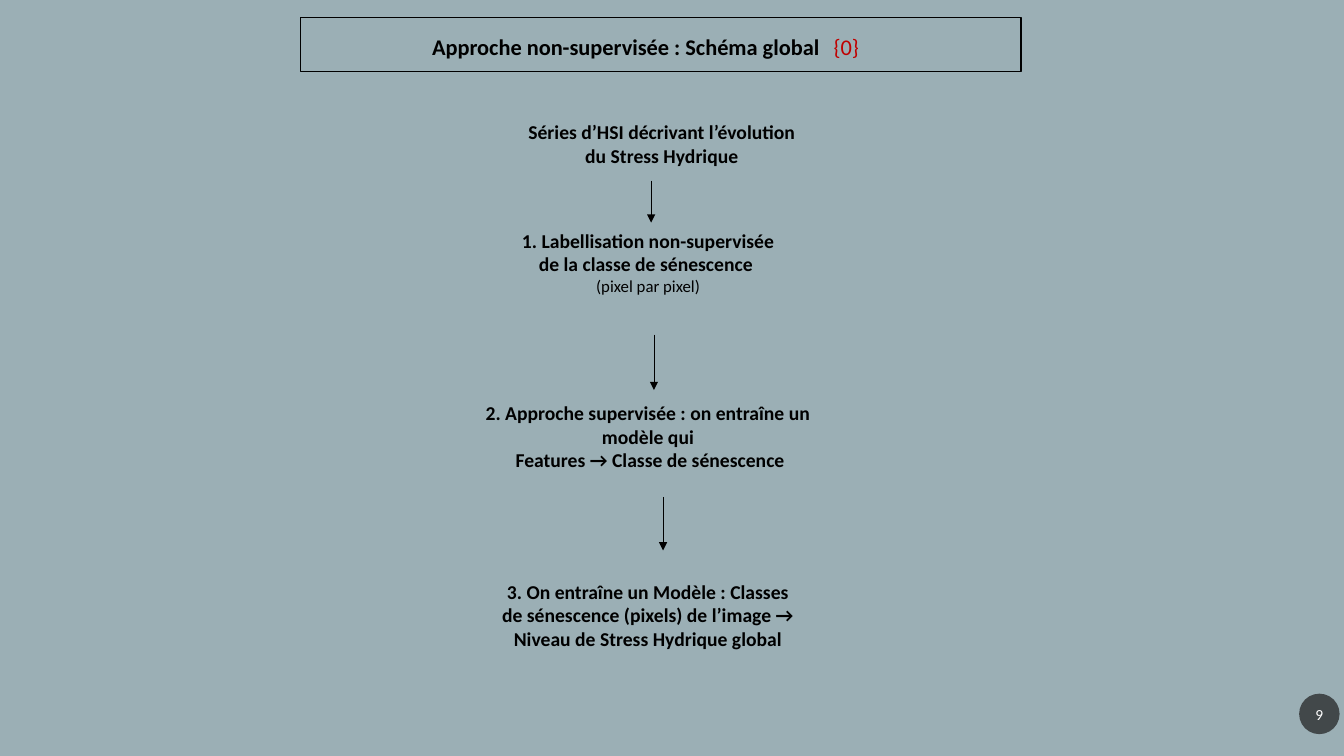
from lxml.etree import SubElement
from pptx import Presentation
from pptx.dml.color import RGBColor
from pptx.enum.shapes import MSO_CONNECTOR, MSO_SHAPE
from pptx.enum.text import MSO_ANCHOR, PP_ALIGN
from pptx.oxml.ns import qn
from pptx.util import Cm, Pt

INKS = {"back": "9BAFB5", "text": "000000", "mark": "C00000",
        "badge": "1D1D1D", "white": "FFFFFF"}


class Page:
    font = "Calibri"

    def __init__(self, slide):
        self.slide = slide
        self.paint(slide.background.fill, "back")

    def paint(self, fill, ink):
        fill.solid()
        fill.fore_color.rgb = RGBColor.from_string(INKS[ink])

    def put(self, frame, paras, align=PP_ALIGN.CENTER):
        """Fill a frame; each paragraph is a list of (text, size, bold, ink)."""
        frame.word_wrap = True
        for i, runs in enumerate(paras):
            para = frame.add_paragraph() if i else frame.paragraphs[0]
            para.alignment = align
            for text, size, bold, ink in runs:
                run = para.add_run()
                run.text = text
                run.font.name = self.font
                run.font.size = Pt(size)
                run.font.bold = bold
                run.font.color.rgb = RGBColor.from_string(INKS[ink])

    def label(self, box, paras, align=PP_ALIGN.CENTER):
        frame = self.slide.shapes.add_textbox(*map(Cm, box)).text_frame
        self.put(frame, paras, align)
        return frame

    def frame(self, box):
        rect = self.slide.shapes.add_shape(MSO_SHAPE.RECTANGLE, *map(Cm, box))
        rect.shadow.inherit = False
        rect.fill.background()
        self.paint(rect.line.fill, "text")
        rect.line.width = Pt(1)

    def badge(self, box, text):
        disc = self.slide.shapes.add_shape(MSO_SHAPE.OVAL, *map(Cm, box))
        disc.shadow.inherit = False
        self.paint(disc.fill, "badge")
        tone = disc.element.spPr.find(qn("a:solidFill"))[0]
        SubElement(tone, qn("a:alpha"), val="70000")
        disc.line.fill.background()
        frame = disc.text_frame
        frame.margin_left = frame.margin_right = Cm(0.05)
        frame.vertical_anchor = MSO_ANCHOR.MIDDLE
        self.put(frame, [[(text, 11, False, "white")]])

    def arrow(self, x, top, end):
        line = self.slide.shapes.add_connector(
            MSO_CONNECTOR.STRAIGHT, Cm(x), Cm(top), Cm(x), Cm(end))
        self.paint(line.line.fill, "text")
        line.line.width = Pt(0.5)
        props = line.element.spPr
        SubElement(props.find(qn("a:ln")), qn("a:tailEnd"), type="triangle")
        SubElement(props, qn("a:effectLst"))


def bold(text, size=14):
    return [(text, size, True, "text")]


STEPS = [
    ((12.83, 2.9, 7.7, 1.45),
     [bold("Séries d’HSI décrivant l’évolution du Stress Hydrique")]),
    ((12.65, 5.64, 7.37, 2.57),
     [bold("1. Labellisation non-supervisée de la classe de sénescence "),
      [("(pixel par pixel)", 12, False, "text")]]),
    ((11.96, 9.98, 8.74, 2.06),
     [bold("2. Approche supervisée : on entraîne un modèle qui"),
      bold(" Features → Classe de sénescence")]),
    ((12.29, 14.48, 8.08, 2.64),
     [bold("3. On entraîne un Modèle : Classes de sénescence (pixels) "
           "de l’image → Niveau de Stress Hydrique global")]),
]
ARROWS = [(16.41, 4.55, 5.61), (16.48, 8.43, 9.83), (16.71, 12.52, 13.87)]


def main():
    deck = Presentation()
    deck.slide_width, deck.slide_height = Cm(33.87), Cm(19.05)
    page = Page(deck.slides.add_slide(deck.slide_layouts[6]))

    page.badge((32.74, 17.48, 1.02, 1.02), "9")
    title = bold("Approche non-supervisée : Schéma global\t", 16)
    title.append(("{0}", 16, False, "mark"))
    head = page.label((10.64, 0.71, 19.13, 1.63), [title], PP_ALIGN.LEFT)
    stops = SubElement(head.paragraphs[0]._p.get_or_add_pPr(), qn("a:tabLst"))
    SubElement(stops, qn("a:tab"), pos=str(Cm(10.12)), algn="l")
    page.frame((7.57, 0.44, 18.16, 1.36))

    for box, paras in STEPS:
        page.label(box, paras)
    for x, top, end in ARROWS:
        page.arrow(x, top, end)
    deck.save("out.pptx")


if __name__ == "__main__":
    main()
